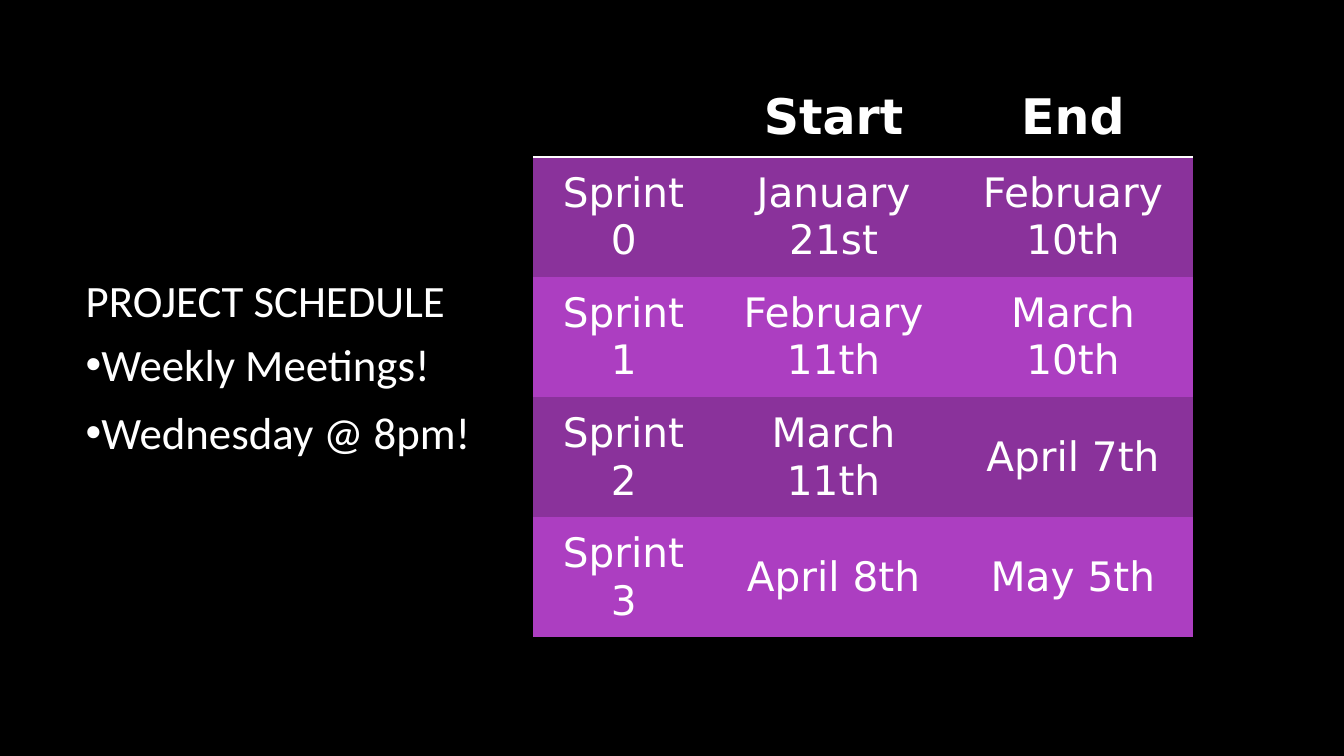
from lxml.etree import SubElement
from pptx import Presentation
from pptx.dml.color import RGBColor
from pptx.enum.text import MSO_ANCHOR, MSO_AUTO_SIZE, PP_ALIGN
from pptx.oxml import parse_xml
from pptx.oxml.ns import nsdecls, qn
from pptx.util import Inches, Pt

COLORS = {"black": "000000", "white": "FFFFFF", "dark": "8A329B", "light": "AC3EC1"}
PLAIN = "{2D5ABB26-0587-4C30-8999-92F81FD0307C}"
COLS, ROWS = 160, 90
SPANS = [21.5, 28.5, 28.5]
HEAD, LINE = 9.5, 14.3
DATES = [
    ["", "Start", "End"],
    ["Sprint 0", "January 21st", "February 10th"],
    ["Sprint 1", "February 11th", "March 10th"],
    ["Sprint 2", "March 11th", "April 7th"],
    ["Sprint 3", "April 8th", "May 5th"],
]


def paint(fill, color):
    fill.solid()
    fill.fore_color.rgb = RGBColor.from_string(COLORS[color])


def write(para, text, font="Calibri", size=32, bold=False, color="white",
          align=PP_ALIGN.LEFT, after=0, dot=False):
    para.alignment = align
    para.line_spacing = 1.0
    para.space_before = Pt(0)
    para.space_after = Pt(after)
    if dot:
        props = para._p.get_or_add_pPr()
        props.set("marL", "0")
        props.set("indent", "0")
        tint = SubElement(props, qn("a:buClr"))
        SubElement(tint, qn("a:srgbClr")).set("val", COLORS[color])
        SubElement(props, qn("a:buFont")).set("typeface", "Arial")
        SubElement(props, qn("a:buChar")).set("char", "•")
    run = para.add_run()
    run.text = text
    run.font.name = font
    run.font.size = Pt(size)
    run.font.bold = bold
    run.font.color.rgb = RGBColor.from_string(COLORS[color])


class Deck:
    def __init__(self):
        self.show = Presentation()
        self.show.slide_width = Inches(13.33)
        self.show.slide_height = Inches(7.5)
        self.slide = self.show.slides.add_slide(self.show.slide_layouts[1])
        paint(self.slide.background.fill, "black")

    def wide(self, cols):
        return round(self.show.slide_width * cols / COLS)

    def high(self, rows):
        return round(self.show.slide_height * rows / ROWS)

    def box(self, left, top, width, height):
        return self.wide(left), self.high(top), self.wide(width), self.high(height)

    def fill(self, index, area, lines, anchor, **style):
        shape = self.slide.placeholders[index]
        shape.left, shape.top, shape.width, shape.height = self.box(*area)
        frame = shape.text_frame
        frame.word_wrap = True
        frame.auto_size = MSO_AUTO_SIZE.NONE
        frame.vertical_anchor = anchor
        for num, line in enumerate(lines):
            para = frame.add_paragraph() if num else frame.paragraphs[0]
            write(para, line, **style)

    def table(self, left, top, spans, data):
        area = self.box(left, top, sum(spans), HEAD + LINE * (len(data) - 1))
        frame = self.slide.shapes.add_table(len(data), len(spans), *area)
        grid = frame.table
        frame.element.find(".//" + qn("a:tableStyleId")).text = PLAIN
        for col, span in zip(grid.columns, spans):
            col.width = self.wide(span)
        for num, (row, words) in enumerate(zip(grid.rows, data)):
            row.height = self.high(LINE if num else HEAD)
            for cell, word in zip(row.cells, words):
                self.cell(cell, word, num)

    def cell(self, cell, word, num):
        cell.vertical_anchor = MSO_ANCHOR.MIDDLE
        cell.margin_left = cell.margin_right = Inches(0.15)
        cell.margin_top = cell.margin_bottom = Inches(0.07)
        paint(cell.fill, ("dark" if num % 2 else "light") if num else "black")
        if word:
            write(cell.text_frame.paragraphs[0], word, font="DejaVu Sans",
                  size=29 if num else 35, bold=num == 0, align=PP_ALIGN.CENTER)
        if num == 0:
            rule = parse_xml(
                f'<a:lnB {nsdecls("a")} w="{Pt(2)}"><a:solidFill>'
                f'<a:srgbClr val="{COLORS["white"]}"/></a:solidFill></a:lnB>')
            cell._tc.get_or_add_tcPr().insert(0, rule)


def main():
    deck = Deck()
    deck.fill(0, (9, 17.9, 49.4, 21.6), ["PROJECT SCHEDULE"], MSO_ANCHOR.BOTTOM)
    deck.fill(1, (9, 39.5, 49.4, 36.5), ["Weekly Meetings!", "Wednesday @ 8pm!"],
              MSO_ANCHOR.TOP, after=10, dot=True)
    deck.table(63.5, 9.2, SPANS, DATES)
    deck.show.save("out.pptx")


if __name__ == "__main__":
    main()
